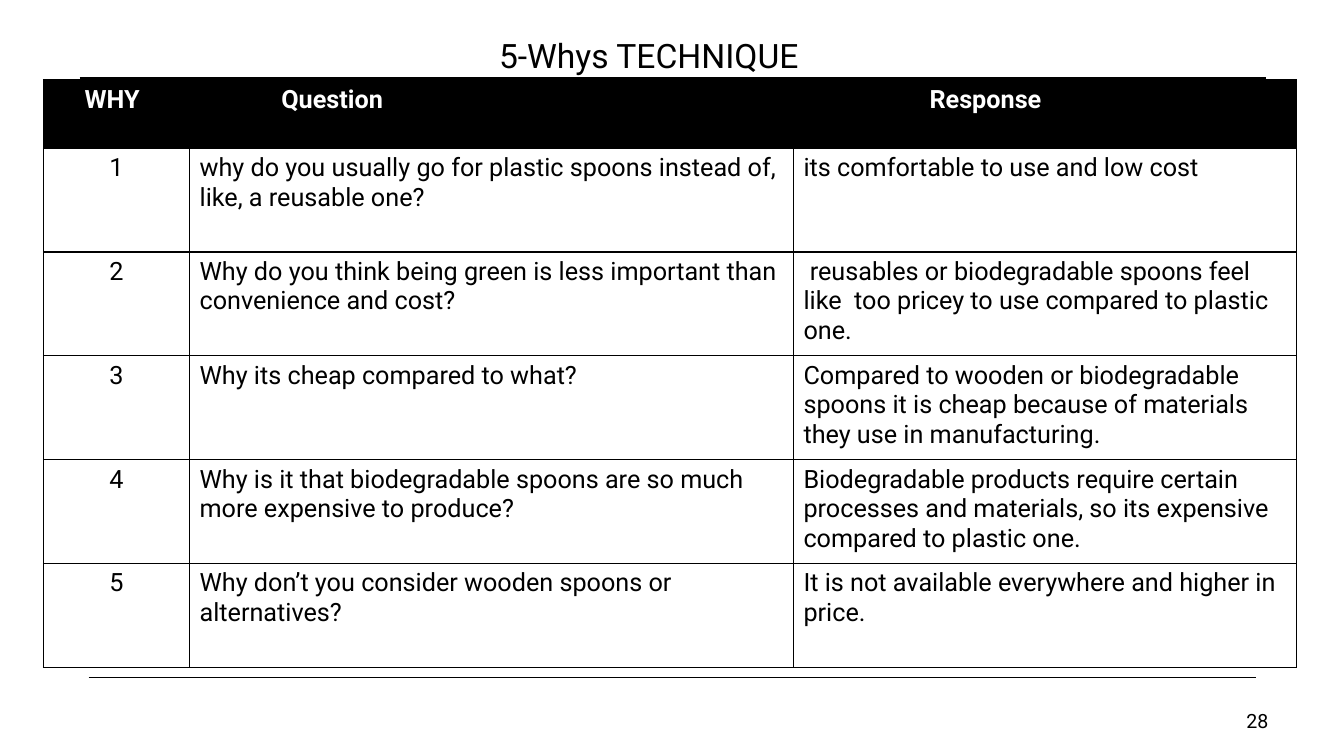
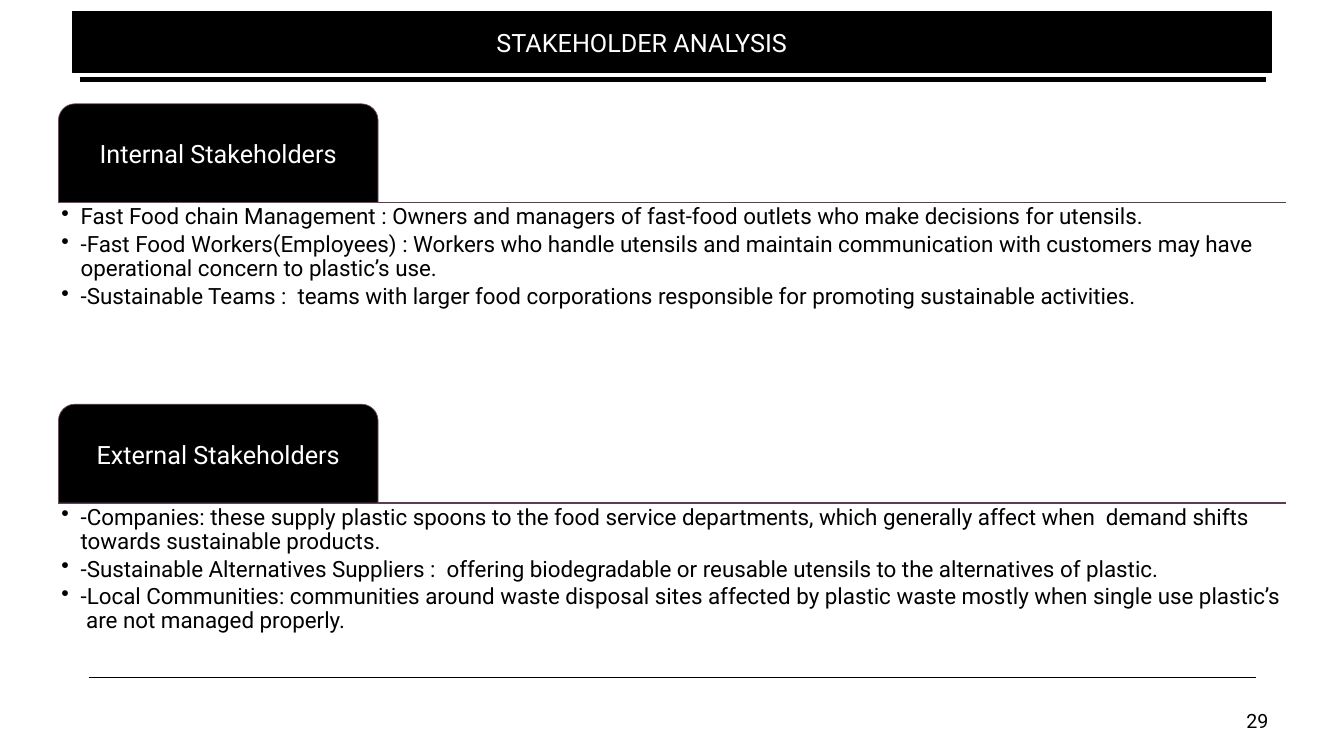
"""Build two slides: a 5-Whys table and a stakeholder analysis."""
from lxml import etree
from pptx import Presentation
from pptx.dml.color import RGBColor
from pptx.enum.shapes import MSO_CONNECTOR, MSO_SHAPE
from pptx.enum.text import MSO_ANCHOR, MSO_AUTO_SIZE, PP_ALIGN
from pptx.oxml.ns import qn
from pptx.util import Inches, Pt

LEFT, MID, RIGHT = PP_ALIGN.LEFT, PP_ALIGN.CENTER, PP_ALIGN.RIGHT
CENTRE, TOP = MSO_ANCHOR.MIDDLE, MSO_ANCHOR.TOP
FIXED = MSO_AUTO_SIZE.NONE
STRAIGHT = MSO_CONNECTOR.STRAIGHT
TAB = MSO_SHAPE.ROUND_2_SAME_RECTANGLE
BLACK, WHITE, PLUM, MAUVE = "000000", "FFFFFF", "5C3C52", "734B67"
FONT = "Roboto"
hue = RGBColor.from_string


def style(para, size, color, **form):
    """Set the font of a paragraph and its other format values."""
    para.font.name, para.font.size = FONT, Pt(size)
    para.font.color.rgb = hue(color)
    para.font.bold = form.pop("bold", False)
    for name, value in form.items():
        setattr(para, name, value)


def rule(slide, start, end, y, color, width):
    """Draw a level line without shadow."""
    line = slide.shapes.add_connector(
        STRAIGHT, Inches(start), Inches(y), Inches(end), Inches(y))
    line.line.color.rgb = hue(color)
    line.line.width = Pt(width)
    etree.SubElement(line.element.spPr, qn("a:effectLst"))
    return line


prs = Presentation()
prs.slide_width, prs.slide_height = Inches(13.33), Inches(7.5)
layout = prs.slide_layouts[5]

heads = [
    ("5-Whys TECHNIQUE", 24, BLACK, (3.1, 0.3, 6.67, 0.5), 0.1),
    ("STAKEHOLDER ANALYSIS", 18, WHITE, (0.72, 0.12, 11.89, 0.6), 0.7),
]
slides = []
for page, (text, size, color, place, inset) in enumerate(heads, 28):
    slide = prs.slides.add_slide(layout)
    slides.append(slide)
    title = slide.shapes.title
    title.left, title.top, title.width, title.height = map(Inches, place)
    frame = title.text_frame
    frame.text = text
    frame.auto_size = FIXED
    frame.vertical_anchor = CENTRE
    frame.margin_right = Inches(inset)
    style(frame.paragraphs[0], size, color, alignment=MID)

    box = slide.shapes.add_textbox(*map(Inches, (11.94, 6.95, 0.74, 0.4)))
    frame = box.text_frame
    frame.word_wrap = True
    frame.vertical_anchor = CENTRE
    frame.text = str(page)
    style(frame.paragraphs[0], 14, BLACK, alignment=RIGHT)

whys, holders = slides
for start, end, y, width in [(0.79, 12.56, 0.79, 3.5), (0.88, 12.46, 6.72, 1)]:
    line = rule(whys, start, end, y, BLACK, width)
    layout.shapes.element.append(line.element)

band = holders.shapes.title
band.fill.solid()
band.fill.fore_color.rgb = hue(BLACK)
band.line.color.rgb = hue(BLACK)
band.line.width = Pt(1)

rows = [
    ("WHY", "Question", "Response"),
    ("1", "why do you usually go for plastic spoons instead of, like, a reusable one?",
     "its comfortable to use and low cost"),
    ("2", "Why do you think being green is less important than convenience and cost?",
     " reusables or biodegradable spoons feel like  too pricey to use compared to plastic one."),
    ("3", "Why its cheap compared to what?",
     "Compared to wooden or biodegradable spoons it is cheap because of materials they use in manufacturing."),
    ("4", "Why is it that biodegradable spoons are so much more expensive to produce?",
     "Biodegradable products require certain processes and materials, so its expensive compared to plastic one."),
    ("5", "Why don’t you consider wooden spoons or alternatives?",
     "It is not available everywhere and higher in price."),
]
widths = [1.45, 5.99, 4.99]
indents = [0.31, 0.81, 1.25]
table = whys.shapes.add_table(
    len(rows), len(widths), *map(Inches, (0.43, 0.79, 12.43, 5.83))).table
for column, width in zip(table.columns, widths):
    column.width = Inches(width)
for i, row in enumerate(rows):
    head = i == 0
    table.rows[i].height = Inches(0.68 if head else 1.03)
    for j, text in enumerate(row):
        cell = table.cell(i, j)
        cell.text = text
        cell.vertical_anchor = TOP
        if head:
            cell.margin_left = Inches(0.1 + indents[j])
        style(cell.text_frame.paragraphs[0], 18, WHITE if head else BLACK,
              bold=head, alignment=MID if j == 0 and not head else LEFT)
        props = cell._tc.get_or_add_tcPr()
        for side in ("a:lnL", "a:lnR", "a:lnT", "a:lnB"):
            edge = etree.SubElement(props, qn(side), w=str(Pt(1)))
            fill = etree.SubElement(edge, qn("a:solidFill"))
            etree.SubElement(fill, qn("a:srgbClr"), val=BLACK)
        cell.fill.solid()
        cell.fill.fore_color.rgb = hue(BLACK if head else WHITE)

groups = [
    ("Internal Stakeholders", [
        "Fast Food chain Management : Owners and managers of fast-food outlets who make decisions for utensils.",
        "-Fast Food Workers(Employees) : Workers who handle utensils and maintain communication with customers may have operational concern to plastic’s use.",
        "-Sustainable Teams :  teams with larger food corporations responsible for promoting sustainable activities.",
    ]),
    ("External Stakeholders", [
        "-Companies: these supply plastic spoons to the food service departments, which generally affect when  demand shifts towards sustainable products.",
        "-Sustainable Alternatives Suppliers :  offering biodegradable or reusable utensils to the alternatives of plastic.",
        "-Local Communities: communities around waste disposal sites affected by plastic waste mostly when single use plastic’s  are not managed properly.",
    ]),
]
sides = ("margin_left", "margin_top", "margin_right", "margin_bottom")
for i, (name, points) in enumerate(groups):
    top = 1.03 + 2.98 * i
    base = top + 0.98
    rule(holders, 0.58, 12.75, base, PLUM, 1)
    tab = holders.shapes.add_shape(TAB, *map(Inches, (0.58, top, 3.17, 0.98)))
    tab.shadow.inherit = False
    tab.fill.solid()
    tab.fill.fore_color.rgb = hue(BLACK)
    tab.line.color.rgb = hue(MAUVE)
    tab.line.width = Pt(0.5)
    frame = tab.text_frame
    frame.text = name
    frame.vertical_anchor = CENTRE
    style(frame.paragraphs[0], 18, WHITE, alignment=MID, line_spacing=0.9)

    box = holders.shapes.add_textbox(*map(Inches, (0.58, base, 12.18, 1.96)))
    frame = box.text_frame
    frame.word_wrap = True
    for side in sides:
        setattr(frame, side, Inches(0.03))
    frame.text = "\n".join(points)
    for para in frame.paragraphs:
        props = para._p.get_or_add_pPr()
        props.set("marL", str(Inches(0.19)))
        props.set("indent", str(Inches(-0.19)))
        etree.SubElement(props, qn("a:buChar"), char="•")
        style(para, 16, BLACK, line_spacing=0.9, space_after=Pt(2.5))

prs.save("out.pptx")
